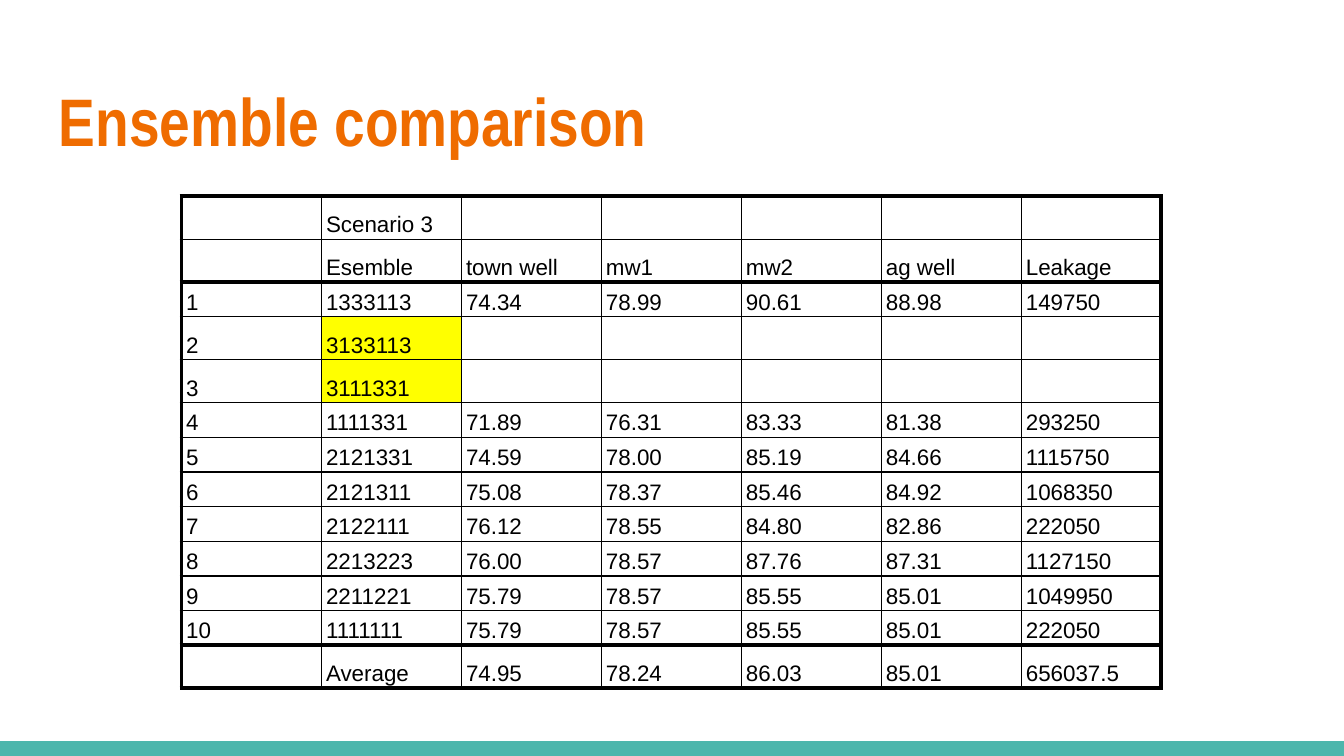
from dataclasses import dataclass

from pptx import Presentation
from pptx.dml.color import RGBColor
from pptx.enum.shapes import MSO_SHAPE
from pptx.enum.text import MSO_ANCHOR
from pptx.oxml.xmlchemy import OxmlElement
from pptx.util import Inches, Pt

RECTANGLE = MSO_SHAPE.RECTANGLE
TOP, BOTTOM = MSO_ANCHOR.TOP, MSO_ANCHOR.BOTTOM


@dataclass(frozen=True)
class Theme:
    heading: str = "EF6C00"
    ink: str = "000000"
    accent: str = "4DB6AC"
    highlight: str = "FFFF00"
    title_font: str = "Arial Narrow"
    body_font: str = "Arial"
    title_size: int = 36
    body_size: int = 12
    thin: float = 0.75
    thick: float = 2.25


@dataclass(frozen=True)
class Area:
    """A rectangle in inches."""
    left: float
    top: float
    width: float
    height: float

    def emu(self) -> list:
        return [Inches(n) for n in (self.left, self.top, self.width, self.height)]


@dataclass(frozen=True)
class Row:
    label: str
    ensemble: str
    results: tuple = ("",) * 5
    highlighted: bool = False

    @property
    def values(self) -> tuple:
        return (self.label, self.ensemble, *self.results)


THEME = Theme()
SLIDE_W = 10
SLIDE_H = SLIDE_W * 9 / 16
MARGIN = 0.34
BAR_H = 0.11
COLUMN_W = 75 / 72
TALL_ROW, SHORT_ROW = 0.32, 0.25
TABLE_LEFT, TABLE_TOP = 1.35, 1.46

ROWS = [
    Row("", "Scenario 3"),
    Row("", "Esemble", ("town well", "mw1", "mw2", "ag well", "Leakage")),
    Row("1", "1333113", ("74.34", "78.99", "90.61", "88.98", "149750")),
    Row("2", "3133113", highlighted=True),
    Row("3", "3111331", highlighted=True),
    Row("4", "1111331", ("71.89", "76.31", "83.33", "81.38", "293250")),
    Row("5", "2121331", ("74.59", "78.00", "85.19", "84.66", "1115750")),
    Row("6", "2121311", ("75.08", "78.37", "85.46", "84.92", "1068350")),
    Row("7", "2122111", ("76.12", "78.55", "84.80", "82.86", "222050")),
    Row("8", "2213223", ("76.00", "78.57", "87.76", "87.31", "1127150")),
    Row("9", "2211221", ("75.79", "78.57", "85.55", "85.01", "1049950")),
    Row("10", "1111111", ("75.79", "78.57", "85.55", "85.01", "222050")),
    Row("", "Average", ("74.95", "78.24", "86.03", "85.01", "656037.5")),
]
COLUMN_COUNT = len(ROWS[0].values)
HEADER_ROWS = 2
# Grid lines, counted from the top and left, that are drawn thick
THICK_ROW_LINES = {0, HEADER_ROWS, len(ROWS) - 1, len(ROWS)}
THICK_COLUMN_LINES = {0, COLUMN_COUNT}


def write(frame, text: str, *, font: str, size: int, color: str,
          bold: bool = False, spacing: float = 1.0) -> None:
    paragraph = frame.paragraphs[0]
    paragraph.line_spacing = spacing
    if not text:
        # An empty cell takes its height from the end-of-paragraph size
        end = OxmlElement("a:endParaRPr")
        end.set("sz", str(size * 100))
        paragraph._p.append(end)
        return
    run = paragraph.add_run()
    run.text = text
    run.font.name = font
    run.font.size = Pt(size)
    run.font.bold = bold
    run.font.color.rgb = RGBColor.from_string(color)


def add_title(slide, text: str) -> None:
    area = Area(MARGIN, 0.49, SLIDE_W - 2 * MARGIN, 0.77)
    frame = slide.shapes.add_textbox(*area.emu()).text_frame
    frame.word_wrap = True
    frame.vertical_anchor = TOP
    frame.margin_left = frame.margin_right = Inches(0.1)
    frame.margin_top = frame.margin_bottom = Inches(0.1)
    write(frame, text, font=THEME.title_font, size=THEME.title_size,
          color=THEME.heading, bold=True)


def add_footer_bar(slide) -> None:
    area = Area(0, SLIDE_H - BAR_H, SLIDE_W, BAR_H)
    bar = slide.shapes.add_shape(RECTANGLE, *area.emu())
    bar.shadow.inherit = False
    bar.fill.solid()
    bar.fill.fore_color.rgb = RGBColor.from_string(THEME.accent)
    bar.line.fill.background()


def set_borders(cell, row: int, column: int) -> None:
    sides = {
        "L": column in THICK_COLUMN_LINES,
        "R": column + 1 in THICK_COLUMN_LINES,
        "T": row in THICK_ROW_LINES,
        "B": row + 1 in THICK_ROW_LINES,
    }
    properties = cell._tc.get_or_add_tcPr()
    for side, is_thick in sides.items():
        line = OxmlElement(f"a:ln{side}")
        line.set("w", str(Pt(THEME.thick if is_thick else THEME.thin)))
        fill, color = OxmlElement("a:solidFill"), OxmlElement("a:srgbClr")
        color.set("val", THEME.ink)
        fill.append(color)
        line.append(fill)
        properties.append(line)


def fill_cell(cell, text: str, highlighted: bool) -> None:
    cell.margin_left = cell.margin_right = Pt(2.5)
    cell.margin_top = cell.margin_bottom = Pt(1)
    cell.vertical_anchor = BOTTOM
    if highlighted:
        cell.fill.solid()
        cell.fill.fore_color.rgb = RGBColor.from_string(THEME.highlight)
    else:
        cell.fill.background()
    write(cell.text_frame, text, font=THEME.body_font, size=THEME.body_size,
          color=THEME.ink, spacing=1.15)


def add_comparison(slide) -> None:
    heights = [SHORT_ROW if all(row.values) else TALL_ROW for row in ROWS]
    area = Area(TABLE_LEFT, TABLE_TOP, COLUMN_COUNT * COLUMN_W, sum(heights))
    table = slide.shapes.add_table(len(ROWS), COLUMN_COUNT, *area.emu()).table
    table.first_row = table.horz_banding = False
    for column in table.columns:
        column.width = Inches(COLUMN_W)
    for r, (row, height) in enumerate(zip(ROWS, heights)):
        table.rows[r].height = Inches(height)
        for c, text in enumerate(row.values):
            cell = table.cell(r, c)
            set_borders(cell, r, c)
            fill_cell(cell, text, row.highlighted and c == 1)


def main() -> None:
    presentation = Presentation()
    presentation.slide_width = Inches(SLIDE_W)
    presentation.slide_height = Inches(SLIDE_H)
    slide = presentation.slides.add_slide(presentation.slide_layouts[6])
    add_footer_bar(slide)
    add_title(slide, "Ensemble comparison")
    add_comparison(slide)
    presentation.save("out.pptx")


if __name__ == "__main__":
    main()
